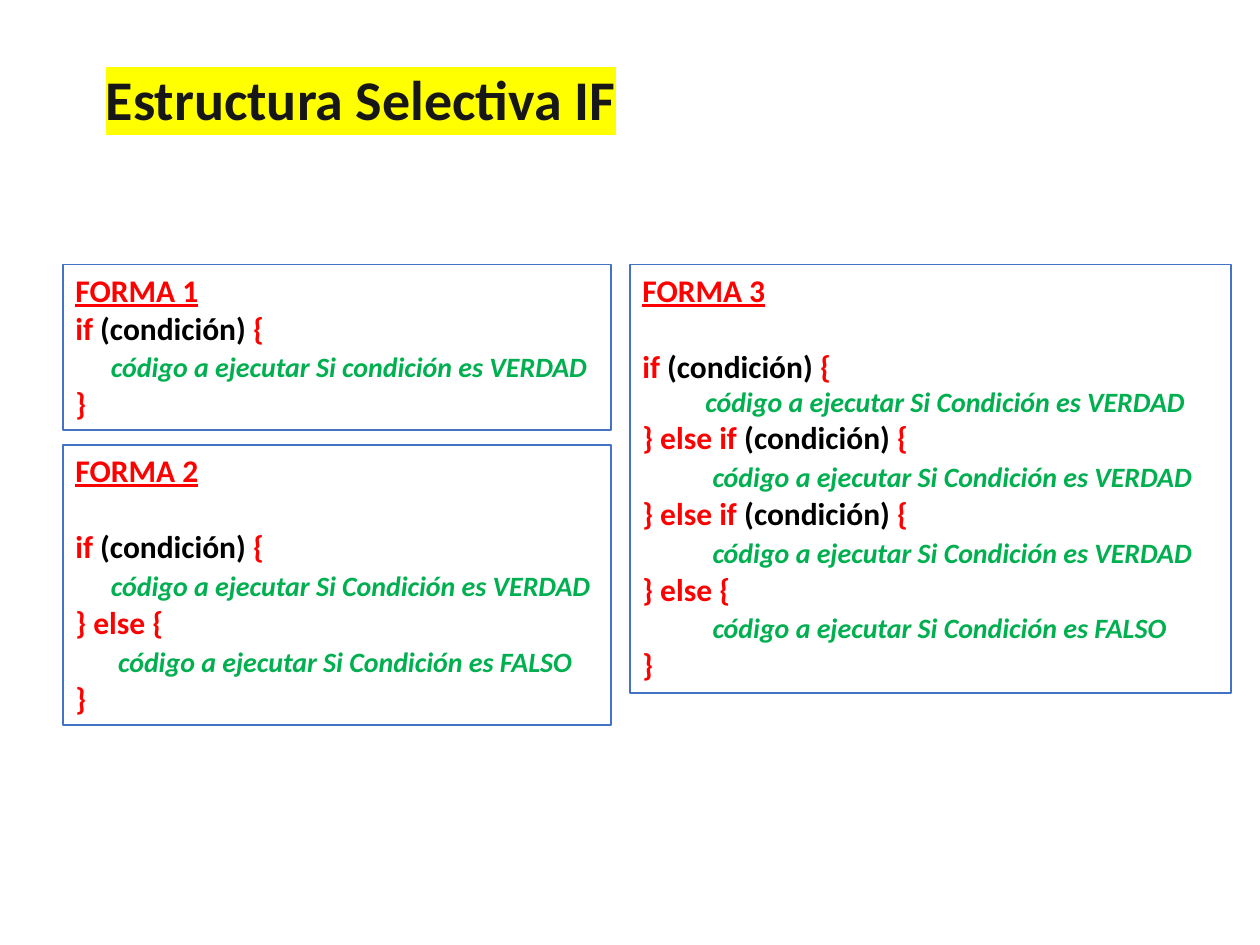
from lxml.etree import Element, SubElement
from pptx import Presentation
from pptx.dml.color import RGBColor
from pptx.enum.shapes import MSO_SHAPE
from pptx.enum.text import MSO_ANCHOR, MSO_AUTO_SIZE, PP_ALIGN
from pptx.oxml.ns import qn
from pptx.util import Pt

COLORS = {
    "title": "181717", "highlight": "FFFF00", "keyword": "FF0000",
    "condition": "000000", "code": "00B050", "border": "4472C4", "box": "FFFFFF",
}
FONT = "Calibri"
TRUE_CODE = "código a ejecutar Si Condición es VERDAD"
FALSE_CODE = "código a ejecutar Si Condición es FALSO"
CONDITION = ("(condición) ", "condition")
OPEN = ("{", "keyword")
IF_LINE = [("if ", "keyword"), CONDITION, OPEN]
ELSE_IF_LINE = [("} else if ", "keyword"), CONDITION, OPEN]
ELSE_LINE = [("} else {", "keyword")]
CLOSE_LINE = [("}", "keyword")]


def rgb(key):
    return RGBColor.from_string(COLORS[key])


def add_run(paragraph, text, color, size=18):
    run = paragraph.add_run()
    run.text = text
    run.font.name = FONT
    run.font.size = Pt(size)
    run.font.bold = True
    run.font.color.rgb = rgb(color)
    return run


def highlight(run, color):
    mark = Element(qn("a:highlight"))
    SubElement(mark, qn("a:srgbClr")).set("val", COLORS[color])
    run.font.fill._xPr.find(qn("a:solidFill")).addnext(mark)


def set_title(slide, text):
    title = slide.shapes.title
    title.left, title.top, title.width, title.height = Pt(53.3), Pt(33.1), Pt(308.9), Pt(46.1)
    frame = title.text_frame
    frame.word_wrap = False
    frame.auto_size = MSO_AUTO_SIZE.SHAPE_TO_FIT_TEXT
    frame.vertical_anchor = MSO_ANCHOR.TOP
    frame.paragraphs[0].alignment = PP_ALIGN.LEFT
    highlight(add_run(frame.paragraphs[0], text, "title", 32), "highlight")


def code_line(text, indent, spaced=True):
    """A nested line; spaced ones are as tall as the keyword lines."""
    return text, indent, spaced


def add_code_line(paragraph, text, indent, spaced):
    paragraph._p.get_or_add_pPr().set("marL", str(Pt(indent)))
    if spaced:
        paragraph.space_before, paragraph.space_after = Pt(1.9), Pt(0.5)
    add_run(paragraph, text, "code", 16).font.italic = True


def add_form(slide, heading, left, top, width, height, lines, heading_gap=0):
    box = slide.shapes.add_shape(MSO_SHAPE.RECTANGLE, Pt(left), Pt(top), Pt(width), Pt(height))
    box.shadow.inherit = False
    box.fill.solid()
    box.fill.fore_color.rgb = rgb("box")
    box.line.color.rgb = rgb("border")
    box.line.width = Pt(1)
    frame = box.text_frame
    frame.word_wrap = True
    frame.auto_size = MSO_AUTO_SIZE.SHAPE_TO_FIT_TEXT
    frame.vertical_anchor = MSO_ANCHOR.TOP

    # Heading
    paragraph = frame.paragraphs[0]
    paragraph.alignment = PP_ALIGN.LEFT
    paragraph.space_after = Pt(heading_gap)
    add_run(paragraph, heading, "keyword").font.underline = True

    # Syntax lines
    for line in lines:
        paragraph = frame.add_paragraph()
        paragraph.alignment = PP_ALIGN.LEFT
        if isinstance(line, tuple):
            add_code_line(paragraph, *line)
        else:
            for text, color in line:
                add_run(paragraph, text, color)


def main():
    prs = Presentation()
    prs.slide_width, prs.slide_height = Pt(720), Pt(540)
    slide = prs.slides.add_slide(prs.slide_layouts[5])
    set_title(slide, "Estructura Selectiva IF")

    # Left column: simple and two-way selection
    add_form(slide, "FORMA 1", 36, 151.2, 313.2, 94.5, [
        IF_LINE,
        code_line("código a ejecutar Si condición es VERDAD", 20.3),
        CLOSE_LINE,
    ])
    add_form(slide, "FORMA 2", 36, 254.2, 313.2, 160, [
        IF_LINE, code_line(TRUE_CODE, 20.3),
        ELSE_LINE, code_line(FALSE_CODE, 24.4),
        CLOSE_LINE,
    ], heading_gap=22)

    # Right column: chained selection
    add_form(slide, "FORMA 3", 360, 151.2, 343.4, 244.8, [
        IF_LINE, code_line(TRUE_CODE, 36, spaced=False),
        *[ELSE_IF_LINE, code_line(TRUE_CODE, 40.1)] * 2,
        ELSE_LINE, code_line(FALSE_CODE, 40.1),
        CLOSE_LINE,
    ], heading_gap=22)

    prs.save("out.pptx")


if __name__ == "__main__":
    main()
